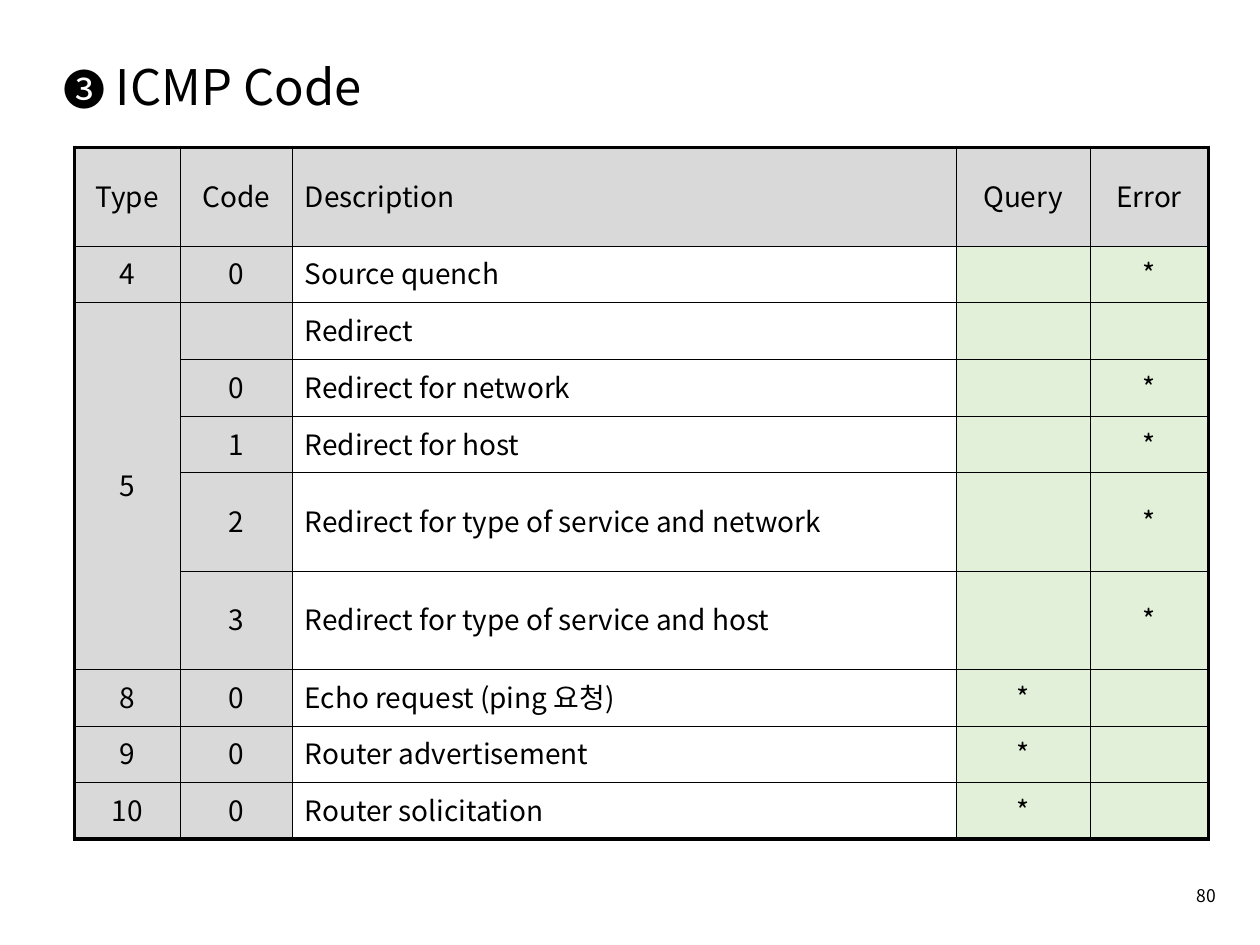
from dataclasses import dataclass

from lxml import etree
from pptx import Presentation
from pptx import util as u
from pptx.dml.color import RGBColor
from pptx.enum import text
from pptx.oxml import ns


@dataclass(frozen=True)
class Theme:
    font: str = "Noto Sans CJK KR"
    ink: str = "000000"
    head: str = "D9D9D9"
    mark: str = "E2F0D9"
    paper: str = "FFFFFF"
    title: int = 28
    bullet: int = 24
    body: int = 16
    number: int = 10
    thin: float = 0.25
    thick: float = 2.25
    spacing: float = 0.9


T = Theme()
LEFT, CENTER, RIGHT = (text.PP_ALIGN.LEFT, text.PP_ALIGN.CENTER,
                       text.PP_ALIGN.RIGHT)

COLS = [0.84, 0.89, 5.27, 1.06, 0.94]
HEADINGS = ["Type", "Code", "Description", "Query", "Error"]
ROWS = [
    ["4", "0", "Source quench", "", "*"],
    ["5", "", "Redirect", "", ""],
    ["", "0", "Redirect for network", "", "*"],
    ["", "1", "Redirect for host", "", "*"],
    ["", "2", "Redirect for type of service and network", "", "*"],
    ["", "3", "Redirect for type of service and host", "", "*"],
    ["8", "0", "Echo request (ping 요청)", "*", ""],
    ["9", "0", "Router advertisement", "*", ""],
    ["10", "0", "Router solicitation", "*", ""],
]
TALL_ROWS = {0, 5, 6}
REDIRECT_ROWS = (2, 6)  # rows that share type 5
DESCRIPTION = 2


def add_run(p, content, size):
    r = p.add_run()
    r.text = content
    for name, value in {"name": T.font, "size": u.Pt(size)}.items():
        setattr(r.font, name, value)
    r.font.color.rgb = RGBColor.from_string(T.ink)
    ea = etree.SubElement(r.font._element, ns.qn("a:ea"))
    ea.set("typeface", T.font)


def format_paragraph(p, align, spacing=T.spacing):
    formats = {"alignment": align, "line_spacing": spacing,
               "space_before": u.Pt(0)}
    for name, value in formats.items():
        setattr(p, name, value)


def place(sp, box):
    for name, value in zip(("left", "top", "width", "height"), box):
        setattr(sp, name, u.Inches(value))
    sp.text_frame.word_wrap = True
    sp.text_frame.vertical_anchor = text.MSO_ANCHOR.MIDDLE


def set_borders(cell, widths):
    tcPr = cell._tc.get_or_add_tcPr()
    for side, width in widths.items():
        ln = etree.SubElement(tcPr, ns.qn(f"a:ln{side}"), w=str(u.Pt(width)))
        fill = etree.SubElement(ln, ns.qn("a:solidFill"))
        etree.SubElement(fill, ns.qn("a:srgbClr"), val=T.ink)


def cell_fill(row, col):
    if row == 0 or col < DESCRIPTION:
        return T.head
    return T.paper if col == DESCRIPTION else T.mark


# Title
def add_title(s, box):
    sp = s.shapes.title
    place(sp, box)
    sp.text_frame.auto_size = text.MSO_AUTO_SIZE.NONE
    p = sp.text_frame.paragraphs[0]
    format_paragraph(p, LEFT)
    add_run(p, "❸", T.bullet)
    add_run(p, " ICMP Code", T.title)


# Table of ICMP types and codes
def add_code_table(s, box):
    data = [HEADINGS] + ROWS
    last_row, last_col = len(data) - 1, len(COLS) - 1
    frame = s.shapes.add_table(len(data), len(COLS), *map(u.Inches, box))
    table = frame.table
    table.first_row = table.horz_banding = False
    for col, width in zip(table.columns, COLS):
        col.width = u.Inches(width)
    for i, row in enumerate(table.rows):
        row.height = u.Inches(0.78 if i in TALL_ROWS else 0.45)
    first, last = REDIRECT_ROWS
    table.cell(first, 0).merge(table.cell(last, 0))

    for i, values in enumerate(data):
        for j, value in enumerate(values):
            cell = table.cell(i, j)
            outer = {"L": j == 0, "R": j == last_col,
                     "T": i == 0, "B": i == last_row}
            set_borders(cell, {side: T.thick if edge else T.thin
                               for side, edge in outer.items()})
            cell.fill.solid()
            cell.fill.fore_color.rgb = RGBColor.from_string(cell_fill(i, j))
            cell.vertical_anchor = text.MSO_ANCHOR.MIDDLE
            if value:
                p = cell.text_frame.paragraphs[0]
                format_paragraph(p, LEFT if j == DESCRIPTION else CENTER)
                add_run(p, value, T.body)


# Page number
def add_page_number(s, box):
    sp = s.shapes.add_textbox(*map(u.Inches, box))
    place(sp, box)
    p = sp.text_frame.paragraphs[0]
    format_paragraph(p, RIGHT, 1.0)
    add_run(p, "80", T.number)


def main():
    prs = Presentation()
    prs.slide_width, prs.slide_height = u.Inches(10), u.Inches(7.5)
    s = prs.slides.add_slide(prs.slide_layouts[5])
    add_page_number(s, (7.5, 6.91, 2.25, 0.4))
    add_code_table(s, (0.59, 1.17, 9, 5.45))
    add_title(s, (0.4, 0.25, 8.96, 0.92))
    prs.save("out.pptx")


if __name__ == "__main__":
    main()
